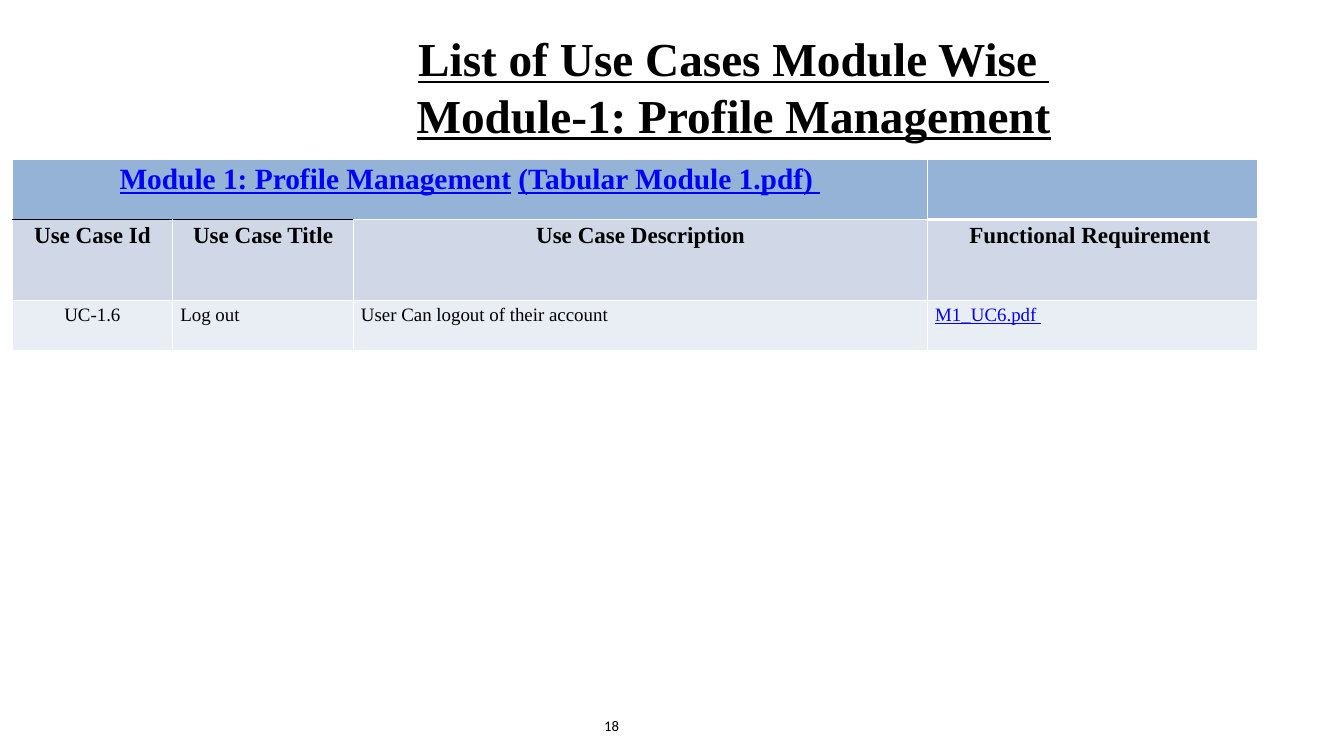
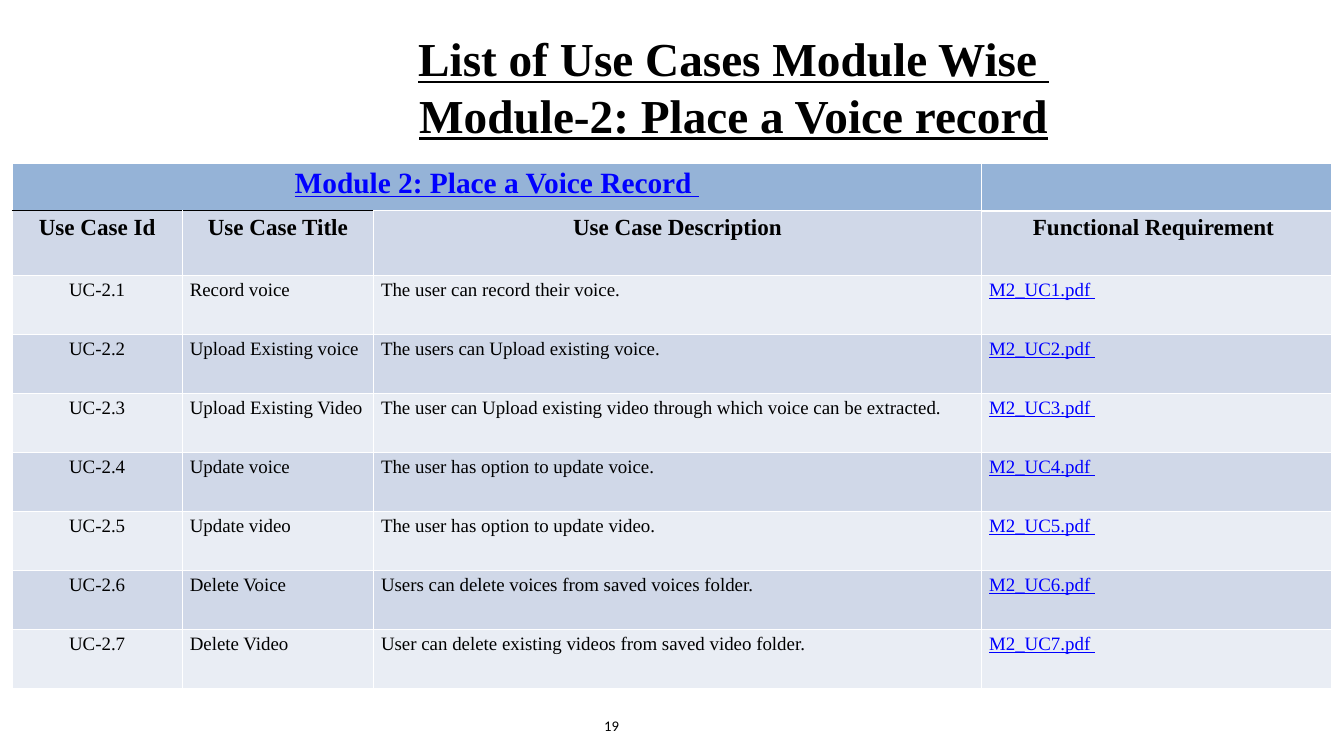
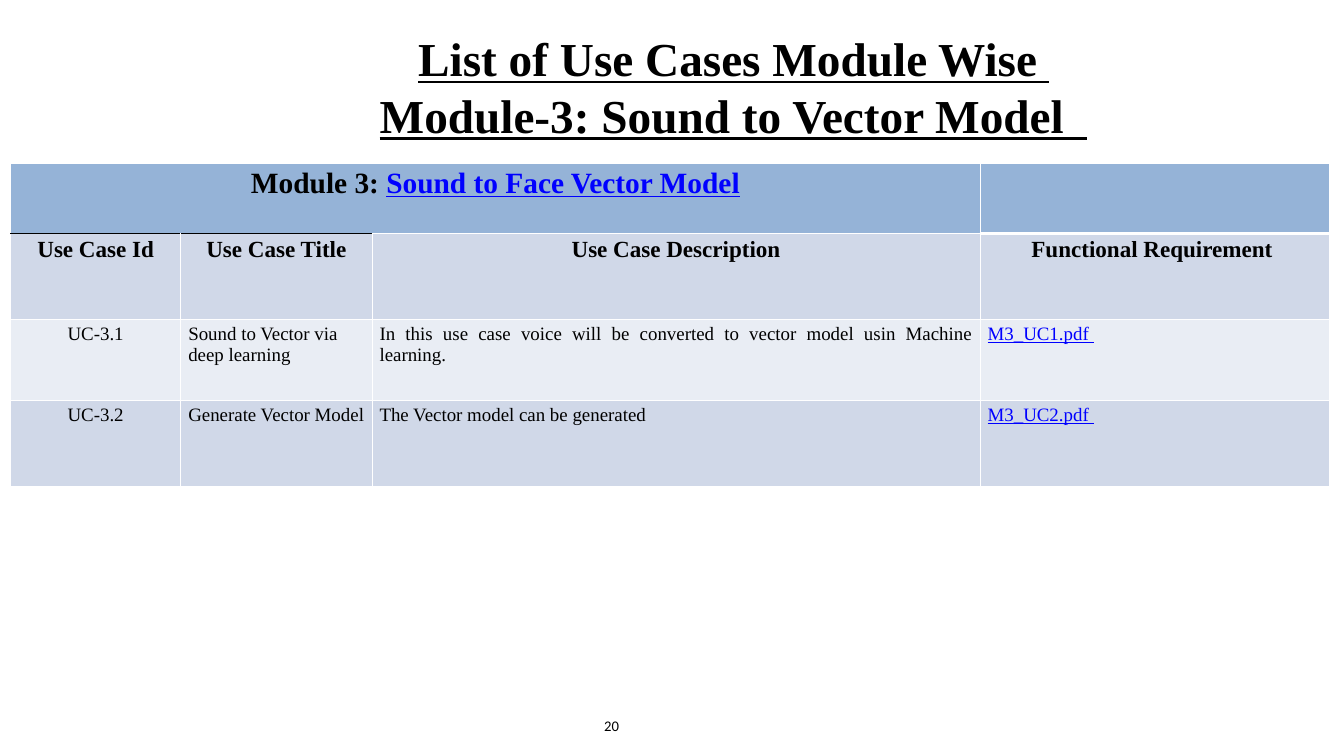
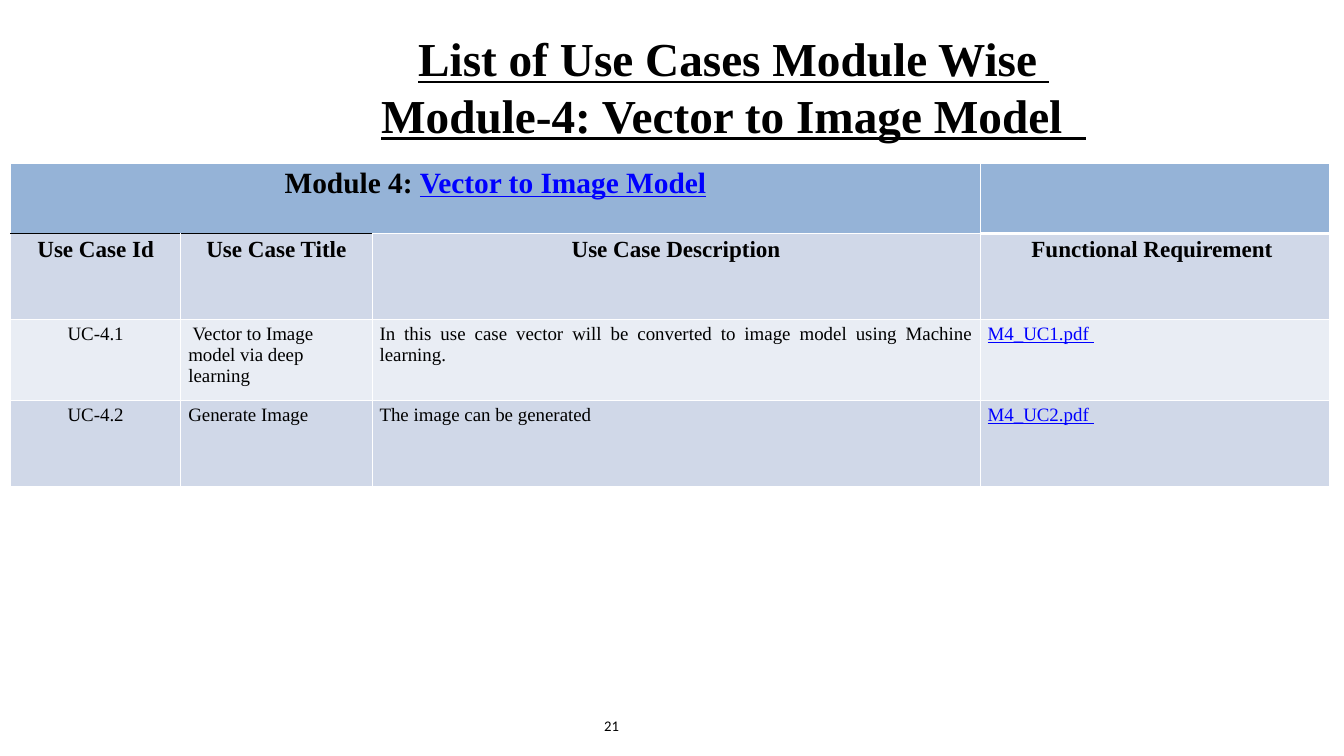
from dataclasses import dataclass

from lxml.etree import SubElement
from pptx import Presentation
from pptx.dml.color import RGBColor
from pptx.enum.text import MSO_ANCHOR, MSO_AUTO_SIZE, PP_ALIGN
from pptx.oxml.ns import qn
from pptx.util import Inches, Pt


@dataclass(frozen=True)
class Theme:
    heading_font: str = "Times New Roman"
    number_font: str = "Calibri"
    text: str = "000000"
    link: str = "0000FF"
    border: str = "FFFFFF"
    banner: str = "95B3D7"
    bands: tuple = ("E9EDF4", "D0D8E8")
    title_size: int = 45
    banner_size: int = 28
    header_size: int = 22
    body_size: int = 18
    number_size: int = 14


THEME = Theme()
SLIDE_WIDTH, SLIDE_HEIGHT = Inches(17.78), Inches(10)
FIRST_NUMBER = 18
TITLE_BOX = (2.94, 0.33, 13.53, 1.25)
NUMBER_BOX = (7.56, 9.33, 0.74, 0.53)
COLUMN_SHARES = (0.129, 0.145, 0.461, 0.265)
HEADERS = ("Use Case Id", "Use Case Title", "Use Case Description",
           "Functional Requirement ")
BODY_ALIGNMENTS = (PP_ALIGN.CENTER, PP_ALIGN.LEFT, PP_ALIGN.JUSTIFY, PP_ALIGN.JUSTIFY)

# A banner is a list of (text, looks like a link); a use case is (title, description).
MODULES = (
    {"title": "Module-1: Profile Management",
     "banner": (("Module 1: Profile Management", True), (" ", False),
                ("(Tabular Module 1.pdf) ", True)),
     "table_box": (0.16, 2.11, 16.48), "row_heights": (0.79, 1.08, 0.65),
     "first_case": 6,
     "use_cases": (("Log out", "User Can logout of their account"),)},
    {"title": "Module-2: Place a Voice record",
     "banner": (("Module 2: Place a Voice Record ", True),),
     "table_box": (0.16, 2.16, 17.45), "row_heights": (0.63, 0.86) + (0.78,) * 7,
     "first_case": 1,
     "use_cases": (
         ("Record voice", "The user can record their voice."),
         ("Upload Existing voice", "The users can Upload existing voice."),
         ("Upload Existing Video",
          "The user can Upload existing video through which voice can be extracted."),
         ("Update voice", "The user has option to update voice."),
         ("Update video", "The user has option to update video."),
         ("Delete Voice", "Users can delete voices from saved voices folder."),
         ("Delete Video", "User can delete existing videos from saved video folder."))},
    {"title": "Module-3: Sound to Vector Model  ",
     "banner": (("Module 3: ", False), ("Sound to Face Vector Model", True)),
     "table_box": (0.14, 2.16, 17.45), "row_heights": (0.93, 1.14, 1.07, 1.14),
     "first_case": 1,
     "use_cases": (
         ("Sound to Vector via deep learning",
          "In this use case voice will be converted to vector model usin Machine learning. "),
         ("Generate Vector Model", "The Vector model can be generated"))},
    {"title": "Module-4: Vector to Image Model  ",
     "banner": (("Module 4: ", False), ("Vector to Image Model", True)),
     "table_box": (0.14, 2.16, 17.45), "row_heights": (0.93, 1.14, 1.07, 1.14),
     "first_case": 1,
     "use_cases": (
         (" Vector to Image model via deep learning",
          "In this use case vector will be converted to image model using Machine learning. "),
         ("Generate Image", "The image can be generated"))},
)


def set_attributes(target, **values):
    for name, value in values.items():
        setattr(target, name, value)


def add_run(paragraph, text, size, color=THEME.text, name=THEME.heading_font,
            bold=False, underline=False):
    run = paragraph.add_run()
    run.text = text
    set_attributes(run.font, size=Pt(size), name=name, bold=bold, underline=underline)
    run.font.color.rgb = RGBColor.from_string(color)


def format_frame(frame, anchor):
    set_attributes(frame, word_wrap=True, auto_size=MSO_AUTO_SIZE.NONE,
                   vertical_anchor=anchor, margin_left=Inches(0.11),
                   margin_right=Inches(0.11), margin_top=Inches(0.06),
                   margin_bottom=Inches(0.06))


def add_title(slide, module_title):
    shape = slide.shapes.title
    left, top, width, height = map(Inches, TITLE_BOX)
    set_attributes(shape, left=left, top=top, width=width, height=height)
    format_frame(shape.text_frame, MSO_ANCHOR.TOP)
    paragraph = shape.text_frame.paragraphs[0]
    paragraph.alignment = PP_ALIGN.CENTER
    style = {"size": THEME.title_size, "bold": True, "underline": True}
    add_run(paragraph, "List of Use Cases Module Wise ", **style)
    paragraph.add_line_break()
    add_run(paragraph, module_title, **style)


def add_slide_number(slide, number):
    shape = slide.shapes.add_textbox(*map(Inches, NUMBER_BOX))
    format_frame(shape.text_frame, MSO_ANCHOR.MIDDLE)
    paragraph = shape.text_frame.paragraphs[0]
    paragraph.alignment = PP_ALIGN.RIGHT
    add_run(paragraph, str(number), THEME.number_size, name=THEME.number_font)


def set_borders(cell, row, column):
    """White grid, with a black rule under the banner and a thick one at its right."""
    borders = {side: (THEME.border, 1) for side in ("L", "R", "T", "B")}
    if row == 0:
        borders["B"] = (THEME.border, 3) if column == 3 else (THEME.text, 1)
    elif row == 1 and column < 2:
        borders["T"] = (THEME.text, 1)
    elif row == 1 and column == 3:
        borders["T"] = (THEME.border, 3)
    properties = cell._tc.get_or_add_tcPr()
    for side, (color, width) in borders.items():
        line = SubElement(properties, qn(f"a:ln{side}"), w=str(Pt(width)))
        fill = SubElement(line, qn("a:solidFill"))
        SubElement(fill, qn("a:srgbClr"), val=color)


def write_cell(cell, text, alignment, **style):
    paragraph = cell.text_frame.paragraphs[0]
    paragraph.alignment = alignment
    add_run(paragraph, text, **style)


def link_style(is_link):
    return {"color": THEME.link if is_link else THEME.text, "underline": is_link}


def add_use_case_table(slide, module_number, module):
    heights = module["row_heights"]
    left, top, width = module["table_box"]
    table = slide.shapes.add_table(
        len(heights), len(COLUMN_SHARES), Inches(left), Inches(top),
        Inches(width), Inches(sum(heights))).table
    for column, share in zip(table.columns, COLUMN_SHARES):
        column.width = Inches(width * share)
    for row_index, height in enumerate(heights):
        table.rows[row_index].height = Inches(height)
        color = THEME.bands[row_index % 2] if row_index else THEME.banner
        for column_index in range(len(COLUMN_SHARES)):
            cell = table.cell(row_index, column_index)
            set_borders(cell, row_index, column_index)
            cell.fill.solid()
            cell.fill.fore_color.rgb = RGBColor.from_string(color)

    table.cell(0, 0).merge(table.cell(0, 2))
    for text, is_link in module["banner"]:
        write_cell(table.cell(0, 0), text, PP_ALIGN.CENTER, size=THEME.banner_size,
                   bold=True, **link_style(is_link))
    for column_index, header in enumerate(HEADERS):
        write_cell(table.cell(1, column_index), header, PP_ALIGN.CENTER,
                   size=THEME.header_size, bold=True)
    for offset, (title, description) in enumerate(module["use_cases"]):
        case = module["first_case"] + offset
        texts = (f"UC-{module_number}.{case}", title, description,
                 f"M{module_number}_UC{case}.pdf ")
        for column_index, (text, alignment) in enumerate(zip(texts, BODY_ALIGNMENTS)):
            write_cell(table.cell(offset + 2, column_index), text, alignment,
                       size=THEME.body_size, **link_style(column_index == 3))


def main():
    presentation = Presentation()
    set_attributes(presentation, slide_width=SLIDE_WIDTH, slide_height=SLIDE_HEIGHT)
    title_only = presentation.slide_layouts[5]
    for index, module in enumerate(MODULES):
        slide = presentation.slides.add_slide(title_only)
        add_slide_number(slide, FIRST_NUMBER + index)
        add_title(slide, module["title"])
        add_use_case_table(slide, index + 1, module)
    presentation.save("out.pptx")


if __name__ == "__main__":
    main()
